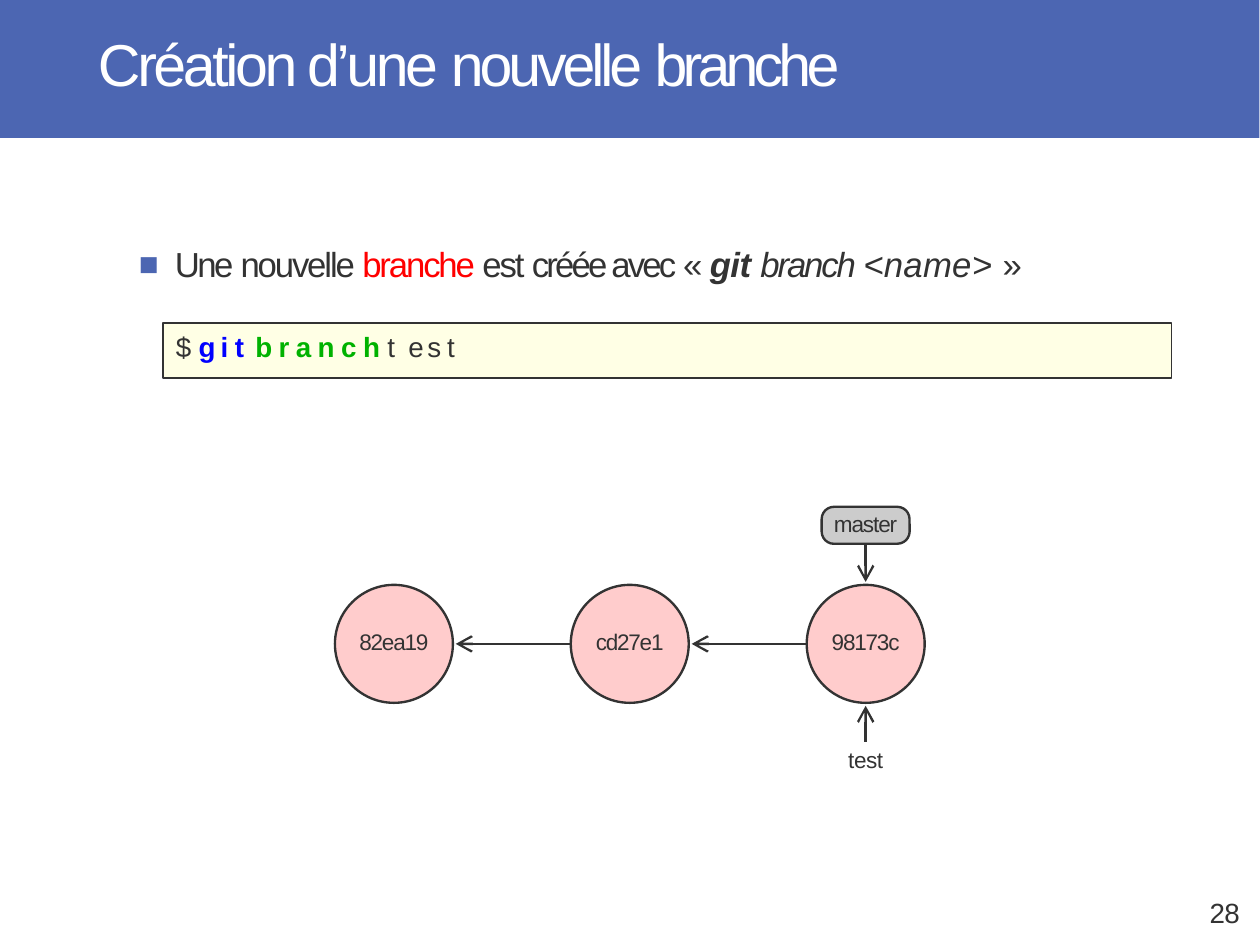
from lxml.etree import SubElement
from pptx import Presentation
from pptx.dml.color import RGBColor
from pptx.enum.shapes import MSO_CONNECTOR, MSO_SHAPE
from pptx.enum.text import MSO_ANCHOR, MSO_AUTO_SIZE, PP_ALIGN
from pptx.oxml.ns import qn
from pptx.util import Pt

PX = 914400 / 250
FONT = "Arial"
BLUE = RGBColor(0x4C, 0x66, 0xB2)
DARK = RGBColor(0x33, 0x33, 0x33)
WHITE = RGBColor(0xFF, 0xFF, 0xFF)
RED = RGBColor(0xFF, 0x00, 0x00)
CREAM = RGBColor(0xFF, 0xFF, 0xE5)
PINK = RGBColor(0xFF, 0xCC, 0xCC)
GREY = RGBColor(0xCC, 0xCC, 0xCC)
CODE_BLUE = RGBColor(0x00, 0x00, 0xFF)
CODE_GREEN = RGBColor(0x00, 0xB2, 0x00)

# Commit circles: first centre, step between centres, diameter
COMMITS = ("82ea19", "cd27e1", "98173c")
FIRST_X, COMMIT_Y, STEP, DIAMETER = 394, 644, 236, 118
RADIUS = DIAMETER // 2
GAP = 3


def px(value):
    return round(value * PX)


def write(box, spans, size, align=PP_ALIGN.LEFT, anchor=MSO_ANCHOR.TOP, inset=(0, 0, 0)):
    """Fill a box with spans of (text, letter spacing, colour, bold, italic)."""
    frame = box.text_frame
    frame.auto_size = MSO_AUTO_SIZE.NONE
    frame.word_wrap = True
    frame.vertical_anchor = anchor
    frame.margin_left, frame.margin_top, frame.margin_bottom = map(px, inset)
    frame.margin_right = 0
    para = frame.paragraphs[0]
    para.alignment = align
    para.space_before = Pt(0)
    for text, spacing, colour, bold, italic in spans:
        span = para.add_run()
        span.text = text
        font = span.font
        font.name, font.size = FONT, Pt(size)
        font.bold, font.italic = bold, italic
        font.color.rgb = colour
        font._element.set("spc", str(round(spacing * 100)))


def plain(text, spacing, colour=DARK):
    return text, spacing, colour, False, False


def place(box, left, top, width, height):
    box.left, box.top, box.width, box.height = map(px, (left, top, width, height))


def add_block(page, kind, left, top, width, height, fill, line=None, weight=0.68):
    block = page.shapes.add_shape(kind, *map(px, (left, top, width, height)))
    block.shadow.inherit = False
    block.fill.solid()
    block.fill.fore_color.rgb = fill
    if line is None:
        block.line.fill.background()
    else:
        block.line.color.rgb = line
        block.line.width = Pt(weight)
    return block


def write_node(node, text, spacing):
    write(node, [plain(text, spacing)], 6.5, PP_ALIGN.CENTER, MSO_ANCHOR.MIDDLE, (0, 0, 4))


def add_label(page, text, spacing, size, left, top, width, height, align):
    box = page.shapes.add_textbox(*map(px, (left, top, width, height)))
    write(box, [plain(text, spacing)], size, align)


def add_arrow(page, x1, y1, x2, y2):
    arrow = page.shapes.add_connector(MSO_CONNECTOR.STRAIGHT, *map(px, (x1, y1, x2, y2)))
    arrow.line.color.rgb = DARK
    arrow.line.width = Pt(0.68)
    SubElement(arrow.line._get_or_add_ln(), qn("a:tailEnd"), type="arrow", w="sm", len="sm")
    SubElement(arrow.element.spPr, qn("a:effectLst"))
    return arrow


def add_square_bullet(para, indent):
    props = para._p.get_or_add_pPr()
    props.set("marL", str(px(indent)))
    props.set("indent", str(-px(indent)))
    SubElement(SubElement(props, qn("a:buClr")), qn("a:srgbClr"), val=str(BLUE))
    SubElement(props, qn("a:buSzPct"), val="95000")
    SubElement(props, qn("a:buFont"), typeface=FONT)
    SubElement(props, qn("a:buChar"), char="■")


def add_heading(page):
    band = add_block(page, MSO_SHAPE.RECTANGLE, 0, 0, 1260, 138, BLUE)
    band.element.getparent().insert(2, band.element)
    title = page.shapes.title
    place(title, 98, 27, 850, 75)
    write(title, [plain("Création d’une ", -1, WHITE),
                  plain("nouvelle ", -1.2, WHITE),
                  plain("branche", -1.4, WHITE)], 17)


def add_explanation(page):
    body = page.placeholders[1]
    place(body, 139, 243, 950, 48)
    add_square_bullet(body.text_frame.paragraphs[0], 36)
    write(body, [plain("Une ", -0.7),
                 plain("nouvelle ", -0.6),
                 plain("branche ", -0.6, RED),
                 plain("est ", -0.6),
                 plain("créée avec ", -0.8),
                 plain("« ", -0.6),
                 ("git ", -0.1, DARK, True, True),
                 ("branch ", -0.6, DARK, False, True),
                 ("<name> ", 0.1, DARK, False, True),
                 plain("»", -0.6)], 10)


def add_command(page):
    box = add_block(page, MSO_SHAPE.RECTANGLE, 163, 323, 1009, 55, CREAM, DARK, 0.4)
    write(box, [plain("$ ", -0.2),
                ("g i ", -0.4, CODE_BLUE, True, False),
                ("t ", 0.5, CODE_BLUE, True, False),
                ("b r a n c h ", -0.2, CODE_GREEN, True, False),
                plain("t ", 0.8),
                plain("e s ", -0.6),
                plain("t", 0.8)], 8, inset=(13, 7, 0))


def add_history(page):
    # Commits, each pointing back to its parent
    for index, commit in enumerate(COMMITS):
        left = FIRST_X + index * STEP - RADIUS
        circle = add_block(page, MSO_SHAPE.OVAL, left, COMMIT_Y - RADIUS,
                           DIAMETER, DIAMETER, PINK, DARK)
        write_node(circle, commit, -0.35)
        if index:
            add_arrow(page, left, COMMIT_Y, left - STEP + DIAMETER + GAP, COMMIT_Y)

    # Branches on the last commit
    x = FIRST_X + (len(COMMITS) - 1) * STEP
    master = add_block(page, MSO_SHAPE.ROUNDED_RECTANGLE, x - 44, 507, 88, 37, GREY, DARK)
    master.adjustments[0] = 0.33
    write_node(master, "master", -0.3)
    pointer = add_arrow(page, x, 544, x, COMMIT_Y - RADIUS - GAP)
    pointer.begin_connect(master, 2)
    add_label(page, "test", -0.1, 6.5, x - 40, 746, 80, 30, PP_ALIGN.CENTER)
    add_arrow(page, x, 742, x, COMMIT_Y + RADIUS + GAP)


def main():
    deck = Presentation()
    deck.slide_width, deck.slide_height = Pt(363), Pt(272.5)
    page = deck.slides.add_slide(deck.slide_layouts[1])
    add_heading(page)
    add_explanation(page)
    add_command(page)
    add_history(page)
    # Page number
    add_label(page, "28", -0.2, 8, 1210, 896, 46, 36, PP_ALIGN.LEFT)
    deck.save("out.pptx")


if __name__ == "__main__":
    main()
